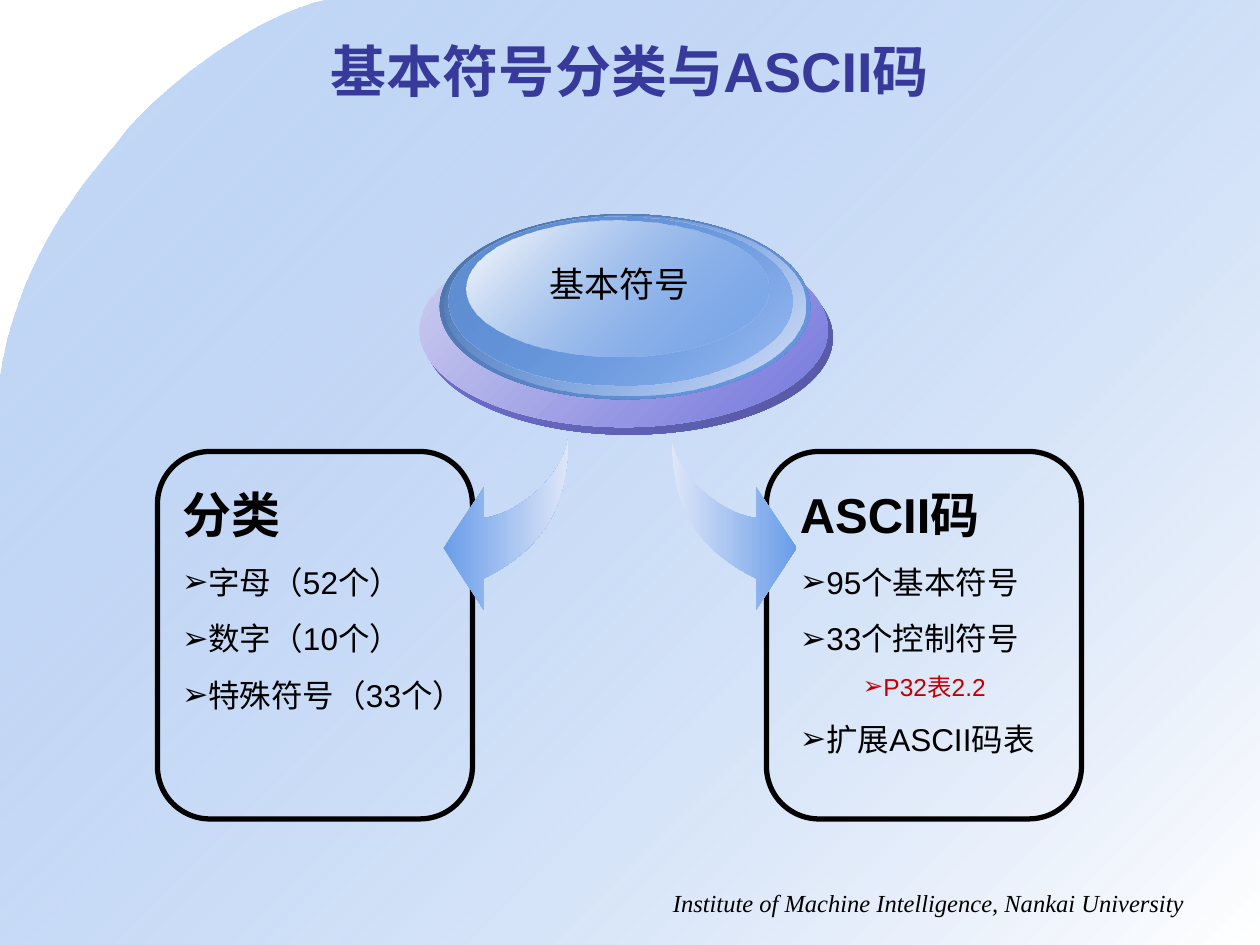
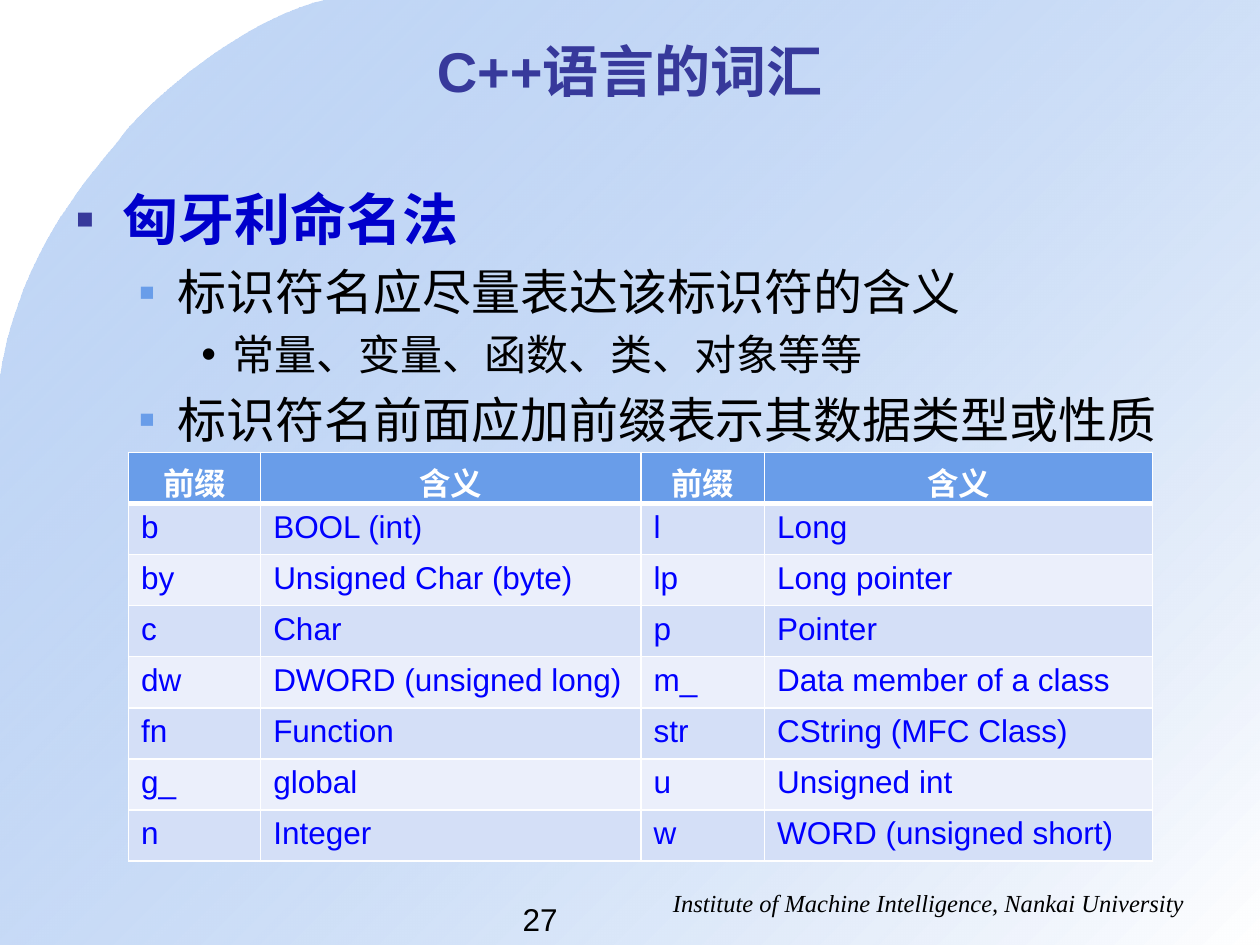
from lxml import etree
from pptx import Presentation
from pptx.dml.color import RGBColor
from pptx.enum.shapes import MSO_SHAPE
from pptx.enum.text import MSO_ANCHOR, PP_ALIGN
from pptx.oxml.ns import qn
from pptx.util import Pt

ELLIPSE, ROUND_RECT = MSO_SHAPE.OVAL, MSO_SHAPE.ROUNDED_RECTANGLE
TOP, MIDDLE = MSO_ANCHOR.TOP, MSO_ANCHOR.MIDDLE
LEFT, CENTER, RIGHT = PP_ALIGN.LEFT, PP_ALIGN.CENTER, PP_ALIGN.RIGHT

WIDTH, HEIGHT = 720, 540
SANS, SERIF, CJK = "Arial", "Times New Roman", "Noto Sans CJK SC"
BLACK, WHITE, RED = "000000", "FFFFFF", "C00000"
SKY, PALE, INDIGO, VIOLET = "699DE9", "DEE6F8", "37399B", "7476DC"
HEADING, CELL_TEXT = "0000CC", "0000FF"
BANDS = "D4DFF7", "EBEFFB"


def rgb(color):
    return RGBColor.from_string(color)


def curve(p0, p1, p2, p3, steps=20):
    points = []
    for i in range(steps + 1):
        t = i / steps
        u = 1 - t
        points.append(tuple(u**3 * a + 3 * u * u * t * b + 3 * u * t * t * c + t**3 * d
                            for a, b, c, d in zip(p0, p1, p2, p3)))
    return points


class Deck:
    """Holds the shared style and the current slide, and draws elements on it."""

    def __init__(self):
        self.prs = Presentation()
        self.prs.slide_width, self.prs.slide_height = Pt(WIDTH), Pt(HEIGHT)
        self.s = None

    def slide(self, title):
        self.s = self.prs.slides.add_slide(self.prs.slide_layouts[6])
        edge = curve((186, 0), (137, 11.5), (83.5, 60), (70.5, 77))
        edge += curve((70.5, 77), (57.5, 95), (11.5, 139.5), (0, 217))[1:]
        corners = [(0, HEIGHT), (WIDTH, HEIGHT), (WIDTH, 0)]
        self.freeform(edge + corners, (SKY, 39), (WHITE, 100), 45)
        self.text((348, 504, 336, 24.5), [self.para(
            "Institute of Machine Intelligence, Nankai University",
            size=14, font=SERIF, italic=True, align=RIGHT)])
        self.text((36, 18, 648, 44.5), [self.para(
            title, size=32, color=INDIGO, bold=True, align=CENTER)], anchor=MIDDLE)

    def para(self, text, **style):
        return {"text": text, **style}

    def add_text(self, p, text, size=18, color=BLACK, font=SANS, bold=False, italic=False,
                 align=LEFT, spacing=None, before=0, bullet=None, bullet_color=None,
                 margin=0, indent=0):
        p.alignment = align
        if spacing:
            p.line_spacing = spacing
        if before:
            p.space_before = Pt(before)
        if bullet:
            pPr = p._p.get_or_add_pPr()
            pPr.set("marL", str(Pt(margin)))
            pPr.set("indent", str(Pt(indent)))
            if bullet_color:
                clr = etree.SubElement(pPr, qn("a:buClr"))
                etree.SubElement(clr, qn("a:srgbClr"), val=bullet_color)
            etree.SubElement(pPr, qn("a:buFont"), typeface=SANS)
            etree.SubElement(pPr, qn("a:buChar"), char=bullet)
        r = p.add_run()
        r.text = text
        f = r.font
        f.size, f.name, f.bold, f.italic = Pt(size), font, bold, italic
        f.color.rgb = rgb(color)
        etree.SubElement(r._r.get_or_add_rPr(), qn("a:ea"), typeface=CJK)

    def text(self, box, paras, anchor=TOP, wrap=True):
        tf = self.s.shapes.add_textbox(*map(Pt, box)).text_frame
        tf.word_wrap, tf.vertical_anchor = wrap, anchor
        for i, para in enumerate(paras):
            self.add_text(tf.paragraphs[0] if i == 0 else tf.add_paragraph(), **para)

    def gradient(self, sp, start, end, angle):
        sp.shadow.inherit = False
        sp.line.fill.background()
        sp.fill.gradient()
        sp.fill.gradient_angle = (360 - angle) % 360
        for stop, (color, _) in zip(sp.fill.gradient_stops, (start, end)):
            stop.color.rgb = rgb(color)
        colors = sp._element.spPr.iter(qn("a:srgbClr"))
        for clr, (_, opacity) in zip(colors, (start, end)):
            if opacity < 100:
                etree.SubElement(clr, qn("a:alpha"), val=str(opacity * 1000))

    def freeform(self, points, start, end, angle):
        points = [(Pt(x), Pt(y)) for x, y in points]
        builder = self.s.shapes.build_freeform(*points[0])
        builder.add_line_segments(points[1:], close=True)
        self.gradient(builder.convert_to_shape(), start, end, angle)

    def ellipse(self, box, start, end):
        sp = self.s.shapes.add_shape(ELLIPSE, *map(Pt, box))
        self.gradient(sp, start, end, 45)

    def panel(self, x, text_x, text_w, paras):
        sp = self.s.shapes.add_shape(ROUND_RECT, Pt(x), Pt(258), Pt(180), Pt(210))
        sp.shadow.inherit = False
        sp.fill.background()
        sp.line.color.rgb, sp.line.width = rgb(BLACK), Pt(3)
        self.text((text_x, 273.5, text_w, 165), paras)

    def borders(self, cell, **widths):
        tcPr = cell._tc.get_or_add_tcPr()
        for side in "LRTB":
            ln = etree.SubElement(tcPr, qn("a:ln" + side), w=str(Pt(widths.get(side, 1))))
            fill = etree.SubElement(ln, qn("a:solidFill"))
            etree.SubElement(fill, qn("a:srgbClr"), val=WHITE)

    def table(self, box, col_widths, rows):
        table = self.s.shapes.add_table(len(rows), len(col_widths), *map(Pt, box)).table
        for col, width in zip(table.columns, col_widths):
            col.width = Pt(width)
        for i, row in enumerate(rows):
            header = i == 0
            style = (dict(color=WHITE, bold=True, align=CENTER) if header
                     else dict(color=CELL_TEXT))
            for j, value in enumerate(row):
                cell = table.cell(i, j)
                self.borders(cell, T=3 if i == 1 else 1, B=3 if header else 1)
                cell.fill.solid()
                cell.fill.fore_color.rgb = rgb(SKY if header else BANDS[(i - 1) % 2])
                self.add_text(cell.text_frame.paragraphs[0], value, **style)


def symbols_slide(deck):
    deck.slide("基本符号分类与ASCII码")

    def heading(text):
        return deck.para(text, size=28, bold=True)

    def item(text, **style):
        return deck.para(text, spacing=1.5, bullet="➢", **style)

    deck.panel(438, 450, 162, [
        heading("ASCII码"), item("95个基本符号"), item("33个控制符号"),
        item("P32表2.2", size=14, color=RED, margin=36), item("扩展ASCII码表")])
    deck.panel(90, 97, 191.5, [
        heading("分类"), item("字母（52个）"), item("数字（10个）"), item("特殊符号（33个）")])

    arrow = curve((324.7, 250.6), (324.7, 290), (310, 314), (276.5, 330.5))
    arrow += [(276.5, 348.5), (253.4, 313.2), (276.5, 278.6)]
    arrow += curve((276.5, 295.9), (296, 294), (322, 272), (324.7, 250.6))
    mirrored = [(708.5 - x, y) for x, y in arrow]
    deck.freeform(arrow, (SKY, 100), (PALE, 100), 0)
    deck.freeform(mirrored, (PALE, 100), (SKY, 100), 0)

    for box, start, end in [
        ((242.6, 137.5, 233.3, 110.9), (VIOLET, 100), ("5556A1", 100)),
        ((239.8, 133.2, 233.3, 110.9), ("D0D1F0", 100), (VIOLET, 100)),
        ((251.3, 122.4, 211.7, 105.8), ("4B70A7", 100), (SKY, 100)),
        ((254.2, 123.1, 205.9, 103), (SKY, 0), ("DAE3F8", 100)),
        ((256.3, 123.8, 196.6, 96.5), ("5F8ED3", 100), (SKY, 48)),
        ((266.4, 126, 172.8, 77.8), (WHITE, 100), (SKY, 38)),
    ]:
        deck.ellipse(box, start, end)
    deck.text((306.7, 146.2, 95, 31.7),
              [deck.para("基本符号", size=20, align=CENTER)], wrap=False)


def naming_slide(deck):
    deck.slide("C++语言的词汇")
    level2 = dict(size=28, before=5.6, bullet="▪", bullet_color=SKY,
                  margin=58.5, indent=-22.5)
    deck.text((36, 102, 642, 157), [
        deck.para("匈牙利命名法", size=32, font=CJK, color=HEADING, bold=True,
                  bullet="▪", bullet_color=INDIGO, margin=27, indent=-27),
        deck.para("标识符名应尽量表达该标识符的含义", **level2),
        deck.para("常量、变量、函数、类、对象等等", size=24, before=4.8,
                  bullet="•", bullet_color=BLACK, margin=90, indent=-18),
        deck.para("标识符名前面应加前缀表示其数据类型或性质", **level2)])
    deck.text((291.6, 510.5, 130.3, 23), [deck.para("27")])
    deck.table((73.4, 258.5, 585.4, 233.6), (75.6, 217.4, 70.6, 221.8), [
        ("前缀", "含义") * 2,
        ("b", "BOOL (int)", "l", "Long"),
        ("by", "Unsigned Char (byte)", "lp", "Long pointer"),
        ("c", "Char", "p", "Pointer"),
        ("dw", "DWORD (unsigned long)", "m_", "Data member of a class"),
        ("fn", "Function", "str", "CString (MFC Class)"),
        ("g_", "global", "u", "Unsigned int"),
        ("n", "Integer", "w", "WORD (unsigned short)")])


def main():
    deck = Deck()
    symbols_slide(deck)
    naming_slide(deck)
    deck.prs.save("out.pptx")


if __name__ == "__main__":
    main()
